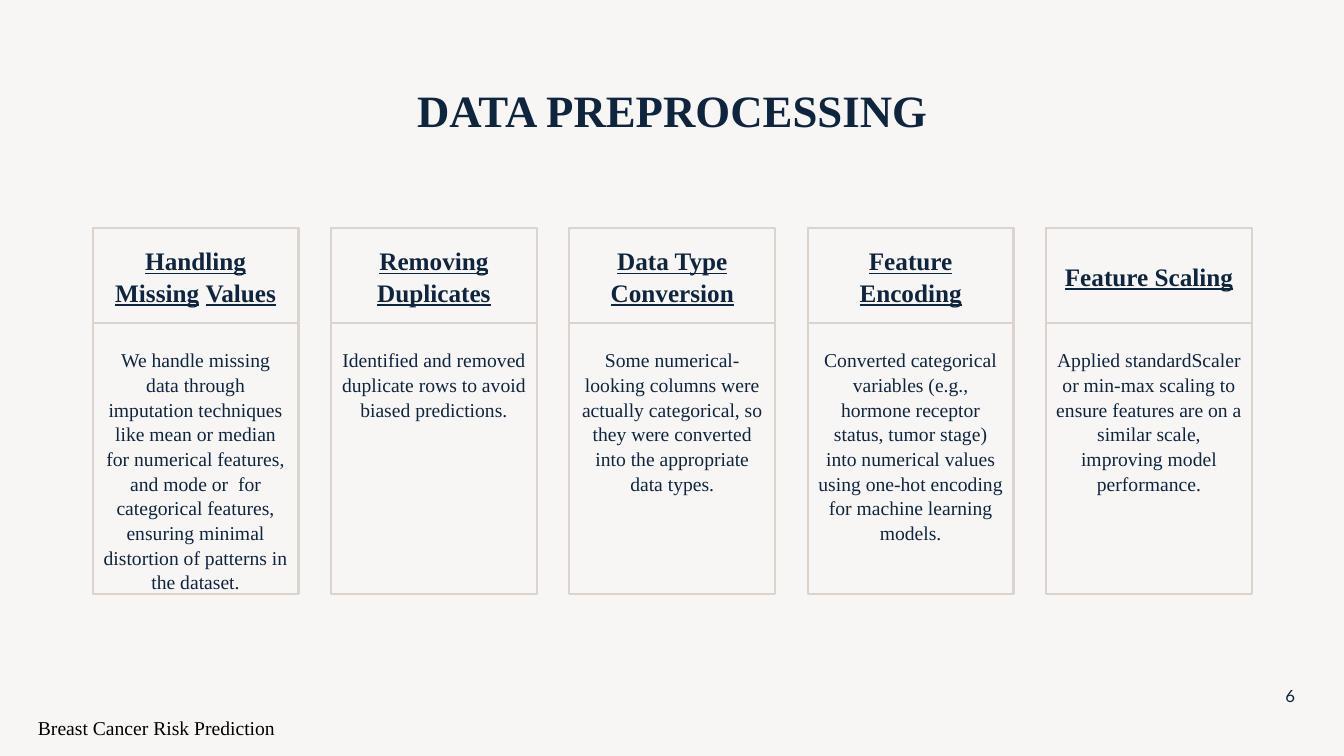
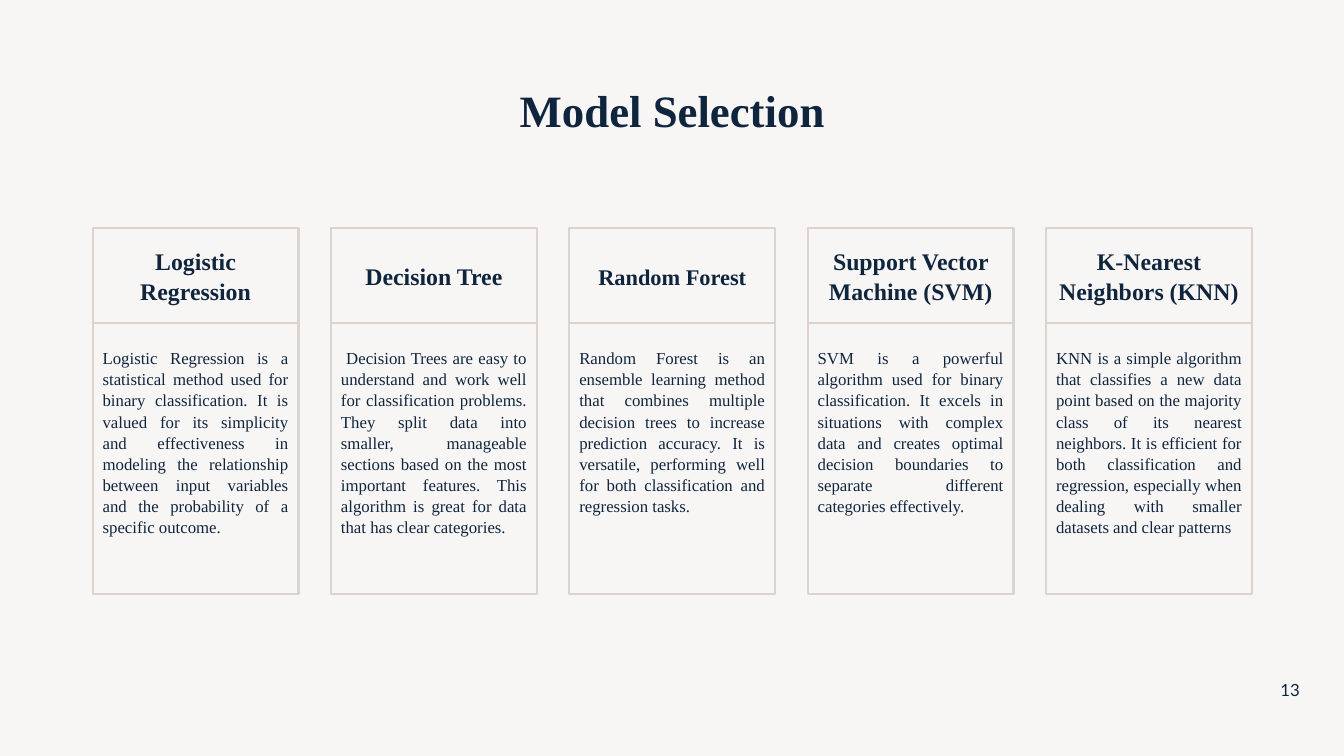
"""Builds two five-column card slides: data preprocessing and model selection."""
from pptx import Presentation
from pptx.dml.color import RGBColor
from pptx.enum.shapes import MSO_SHAPE
from pptx.enum.text import MSO_ANCHOR, PP_ALIGN
from pptx.util import Pt

NAVY, BLACK, SAND, PAPER = "0F253E", "000000", "DCD3CC", "F8F6F5"
SERIF, SANS = "Times New Roman", "Lato"
LEFT, WIDTH, CARD_W = 66.25, 828, 147
HEAD_TOP, HEAD_H, BODY_TOP, BODY_H = 162.75, 68, 230.5, 194

SLIDES = [
    {
        "title": "DATA PREPROCESSING", "number": "6", "number_top": 482.4,
        "footer": "Breast Cancer Risk Prediction",
        "underline": True, "body_size": 14, "body_align": PP_ALIGN.CENTER,
        "cards": [
            (["Handling", " ", "Missing", " ", "Values"], 18,
             "We handle missing data through imputation techniques like mean or median for "
             "numerical features, and mode or  for categorical features, ensuring minimal "
             "distortion of patterns in the dataset."),
            (["Removing Duplicates"], 18,
             "Identified and removed duplicate rows to avoid biased predictions."),
            (["Data Type Conversion"], 18,
             "Some numerical-looking columns were actually categorical, so they were "
             "converted into the appropriate data types."),
            (["Feature Encoding"], 18,
             "Converted categorical variables (e.g., hormone receptor status, tumor stage) "
             "into numerical values using one-hot encoding for machine learning models."),
            (["Feature Scaling"], 18,
             "Applied standardScaler or min-max scaling to ensure features are on a similar "
             "scale, improving model performance."),
        ],
    },
    {
        "title": "Model Selection", "number": "13", "number_top": 478,
        "footer": None,
        "underline": False, "body_size": 12, "body_align": PP_ALIGN.JUSTIFY,
        "cards": [
            (["Logistic Regression"], 17,
             "Logistic Regression is a statistical method used for binary classification. It "
             "is valued for its simplicity and effectiveness in modeling the relationship "
             "between input variables and the probability of a specific outcome."),
            (["Decision Tree"], 17,
             " Decision Trees are easy to understand and work well for classification "
             "problems. They split data into smaller, manageable sections based on the most "
             "important features. This algorithm is great for data that has clear categories."),
            (["Random Forest"], 16,
             "Random Forest is an ensemble learning method that combines multiple decision "
             "trees to increase prediction accuracy. It is versatile, performing well for "
             "both classification and regression tasks."),
            (["Support Vector Machine (SVM)"], 17,
             "SVM is a powerful algorithm used for binary classification. It excels in "
             "situations with complex data and creates optimal decision boundaries to "
             "separate different categories effectively."),
            (["K-Nearest Neighbors (KNN)"], 17,
             "KNN is a simple algorithm that classifies a new data point based on the "
             "majority class of its nearest neighbors. It is efficient for both "
             "classification and regression, especially when dealing with smaller datasets "
             "and clear patterns"),
        ],
    },
]


def rgb(value):
    """Turns a hex string into a colour."""
    return RGBColor.from_string(value)


def write(sp, runs, size, align=PP_ALIGN.CENTER, anchor=MSO_ANCHOR.MIDDLE, top=3.6,
          spacing=1.0, bold=False, underline=False, color=NAVY, font=SERIF):
    """Fills a shape with one paragraph, leaving bare spaces without underline."""
    tf = sp.text_frame
    tf.word_wrap = True
    tf.vertical_anchor = anchor
    tf.margin_top = Pt(top)
    p = tf.paragraphs[0]
    p.alignment = align
    p.line_spacing = spacing
    for text in runs:
        r = p.add_run()
        r.text = text
        r.font.name = font
        r.font.size = Pt(size)
        r.font.bold = bold
        r.font.underline = underline and bool(text.strip())
        r.font.color.rgb = rgb(color)


def add_text(s, box, text, size, **style):
    """Adds a text box."""
    write(s.shapes.add_textbox(*map(Pt, box)), [text], size, **style)


def add_panel(s, box, runs, size, **style):
    """Adds an outlined rectangle with text."""
    sp = s.shapes.add_shape(MSO_SHAPE.RECTANGLE, *map(Pt, box))
    sp.shadow.inherit = False
    sp.fill.background()
    sp.line.color.rgb = rgb(SAND)
    sp.line.width = Pt(1.5)
    write(sp, runs, size, spacing=1.05, **style)


def add_slide(prs, data):
    """Adds one slide with its title, cards, number and footer."""
    s = prs.slides.add_slide(prs.slide_layouts[6])
    s.background.fill.solid()
    s.background.fill.fore_color.rgb = rgb(PAPER)
    add_text(s, (LEFT, 28.8, WIDTH, 104.4), data["title"], 32, bold=True, spacing=0.9)
    pitch = (WIDTH - CARD_W) / (len(data["cards"]) - 1)
    for i, (heading, size, body) in enumerate(data["cards"]):
        x = LEFT + i * pitch
        add_panel(s, (x, BODY_TOP, CARD_W, BODY_H), [body], data["body_size"],
                  align=data["body_align"], anchor=MSO_ANCHOR.TOP, top=17.28)
        add_panel(s, (x, HEAD_TOP, CARD_W, HEAD_H), heading, size,
                  bold=True, underline=data["underline"])
    add_text(s, (903.6, data["number_top"], 36, 28.8), data["number"], 12, font=SANS)
    if data["footer"]:
        add_text(s, (20, 507.6, 324, 28.8), data["footer"], 14, align=PP_ALIGN.LEFT,
                 anchor=MSO_ANCHOR.TOP, color=BLACK)


def main():
    """Builds and saves the presentation."""
    prs = Presentation()
    prs.slide_width, prs.slide_height = Pt(960), Pt(540)
    for data in SLIDES:
        add_slide(prs, data)
    prs.save("out.pptx")


if __name__ == "__main__":
    main()
